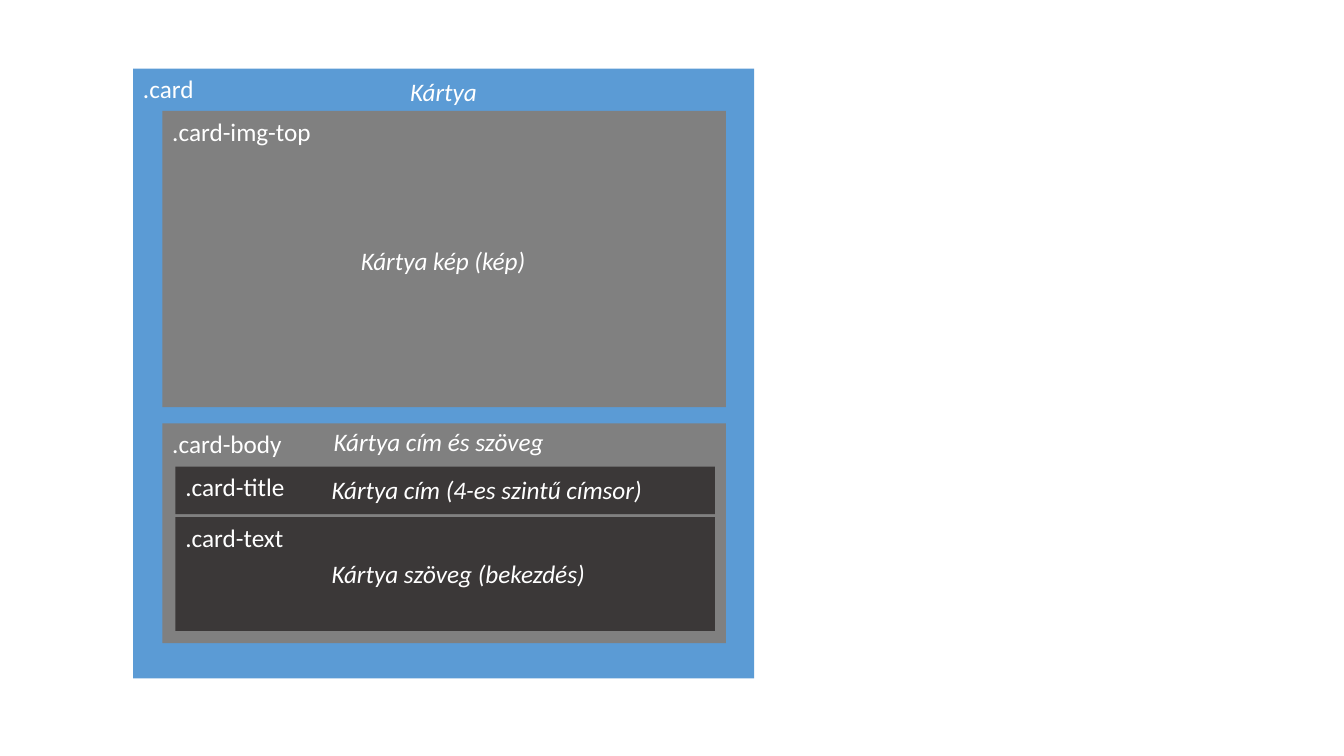
from dataclasses import dataclass

from pptx import Presentation
from pptx.dml.color import RGBColor
from pptx.enum.shapes import MSO_SHAPE
from pptx.enum.text import MSO_ANCHOR, MSO_AUTO_SIZE, PP_ALIGN
from pptx.slide import Slide
from pptx.text.text import TextFrame
from pptx.util import Inches, Pt

RECTANGLE = MSO_SHAPE.RECTANGLE
TOP = MSO_ANCHOR.TOP
LEFT = PP_ALIGN.LEFT
FIT_SHAPE = MSO_AUTO_SIZE.SHAPE_TO_FIT_TEXT

BLUE = RGBColor(0x5B, 0x9B, 0xD5)
GRAY = RGBColor(0x80, 0x80, 0x80)
DARK = RGBColor(0x3B, 0x38, 0x38)
WHITE = RGBColor(0xFF, 0xFF, 0xFF)

FONT_NAME = "Calibri"
FONT_SIZE = Pt(18)
CAPTION_HEIGHT = 0.4


@dataclass(frozen=True)
class Box:
    class_name: str
    left: float
    top: float
    width: float
    height: float
    color: RGBColor


@dataclass(frozen=True)
class Caption:
    text: str
    left: float
    top: float
    width: float


BOXES = [
    Box(".card", 1.32, 0.68, 6.16, 6.05, BLUE),
    Box(".card-img-top", 1.61, 1.1, 5.59, 2.94, GRAY),
    Box(".card-body", 1.61, 4.2, 5.59, 2.18, GRAY),
    Box(".card-title", 1.74, 4.63, 5.35, 0.47, DARK),
    Box(".card-text", 1.74, 5.13, 5.35, 1.13, DARK),
]

CAPTIONS = [
    Caption("Kártya kép (kép)", 3.48, 2.38, 1.85),
    Caption("Kártya cím (4-es szintű címsor)", 3.19, 4.66, 3.31),
    Caption("Kártya szöveg (bekezdés)", 3.19, 5.49, 2.74),
    Caption("Kártya", 3.97, 0.71, 0.87),
    Caption("Kártya cím és szöveg", 3.21, 4.18, 2.39),
]


def write_text(text_frame: TextFrame, text: str, italic: bool) -> None:
    text_frame.text = text
    text_frame.vertical_anchor = TOP
    paragraph = text_frame.paragraphs[0]
    paragraph.alignment = LEFT
    font = paragraph.runs[0].font
    font.name = FONT_NAME
    font.size = FONT_SIZE
    font.italic = italic
    font.color.rgb = WHITE


def draw_box(slide: Slide, box: Box) -> None:
    shape = slide.shapes.add_shape(
        RECTANGLE, Inches(box.left), Inches(box.top), Inches(box.width), Inches(box.height)
    )
    shape.shadow.inherit = False
    shape.fill.solid()
    shape.fill.fore_color.rgb = box.color
    shape.line.fill.background()
    write_text(shape.text_frame, box.class_name, italic=False)


def draw_caption(slide: Slide, caption: Caption) -> None:
    shape = slide.shapes.add_textbox(
        Inches(caption.left), Inches(caption.top), Inches(caption.width), Inches(CAPTION_HEIGHT)
    )
    text_frame = shape.text_frame
    text_frame.word_wrap = False
    text_frame.auto_size = FIT_SHAPE
    write_text(text_frame, caption.text, italic=True)


def main() -> None:
    presentation = Presentation()
    presentation.slide_width = Inches(13.33)
    presentation.slide_height = Inches(7.5)
    slide = presentation.slides.add_slide(presentation.slide_layouts[6])
    for box in BOXES:
        draw_box(slide, box)
    for caption in CAPTIONS:
        draw_caption(slide, caption)
    presentation.save("out.pptx")


if __name__ == "__main__":
    main()
